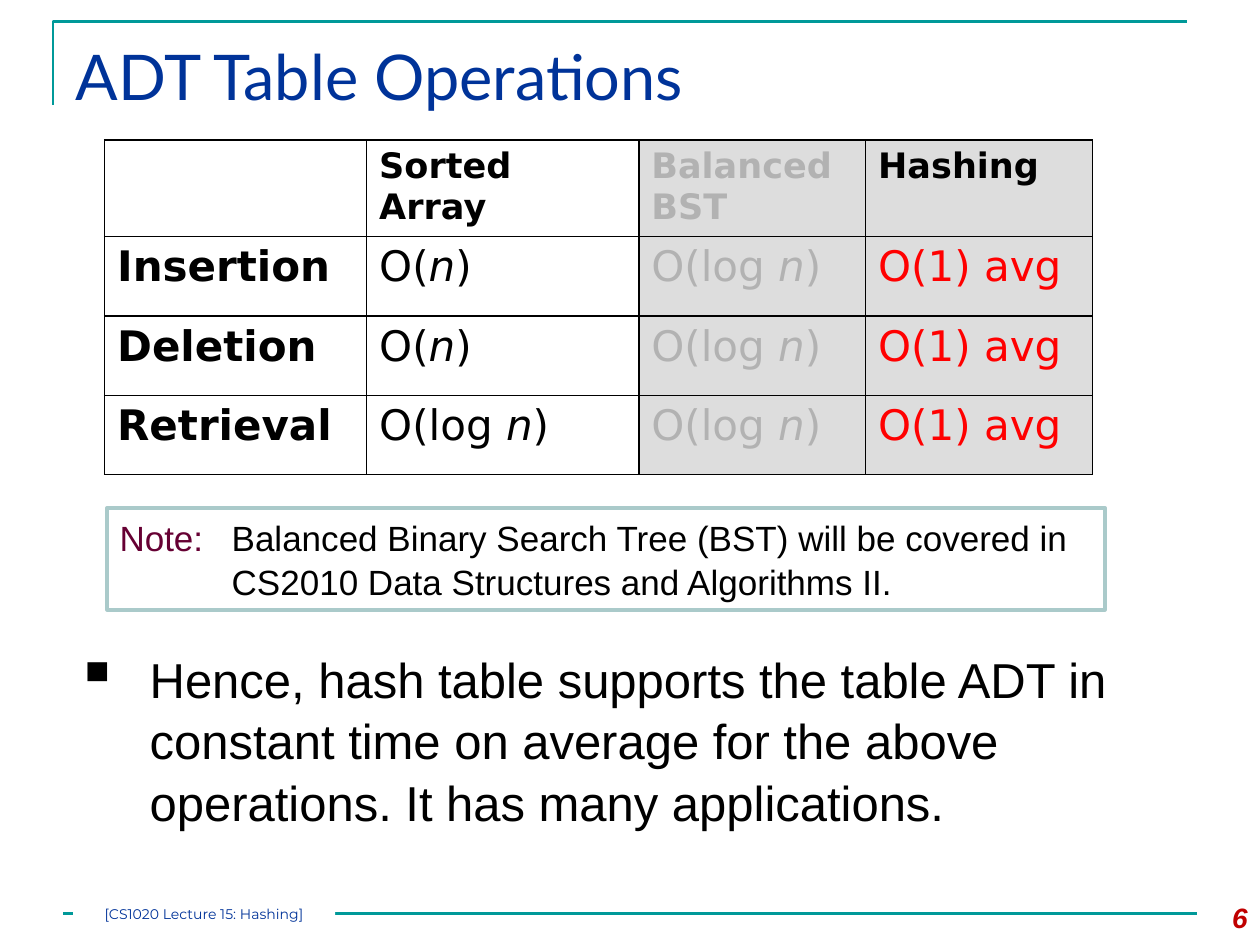
"""Builds the slide on ADT table operations."""
from dataclasses import dataclass

import lxml.etree
import pptx
import pptx.dml.color
import pptx.enum.shapes
import pptx.enum.text
import pptx.oxml.ns
import pptx.util

Inches = pptx.util.Inches
Pt = pptx.util.Pt
qn = pptx.oxml.ns.qn
ALIGN = pptx.enum.text.PP_ALIGN
ANCHOR = pptx.enum.text.MSO_ANCHOR


@dataclass(frozen=True)
class Theme:
    black: str = "000000"
    white: str = "FFFFFF"
    blue: str = "003399"
    teal: str = "009999"
    pale_teal: str = "AACACA"
    plum: str = "660033"
    red: str = "FF0000"
    dark_red: str = "C00000"
    muted: str = "B2B2B2"
    shade: str = "DDDDDD"
    title_font: str = "Lato"
    body_font: str = "Arial"
    table_font: str = "DejaVu Sans"
    footer_font: str = "Montserrat"
    title: int = 36
    body: int = 28
    cell: int = 24
    note: int = 20
    number: int = 16
    footer: int = 8
    rule: float = 1.5


def rgb(color):
    return pptx.dml.color.RGBColor.from_string(color)


class Deck:
    """Holds the theme and the current slide."""

    def __init__(self, prs, theme):
        self.theme = theme
        self.s = prs.slides.add_slide(prs.slide_layouts[5])

    def run(self, p, text, size, font, color, bold=False, italic=False):
        r = p.add_run()
        r.text = text
        r.font.size, r.font.name = Pt(size), font
        r.font.bold, r.font.italic = bold, italic
        r.font.color.rgb = rgb(color)

    def title(self, text, box):
        sp = self.s.shapes.title
        sp.left, sp.top, sp.width, sp.height = map(Inches, box)
        tf = sp.text_frame
        tf.vertical_anchor = ANCHOR.TOP
        tf.auto_size = pptx.enum.text.MSO_AUTO_SIZE.NONE
        p = tf.paragraphs[0]
        p.alignment = ALIGN.LEFT
        self.run(p, text, self.theme.title, self.theme.title_font, self.theme.blue)

    def outline(self, points):
        points = [(Inches(x), Inches(y)) for x, y in points]
        builder = self.s.shapes.build_freeform(*points[0])
        builder.add_line_segments(points[1:], close=False)
        sp = builder.convert_to_shape()
        sp.shadow.inherit = False
        sp.fill.background()
        sp.line.color.rgb = rgb(self.theme.teal)
        sp.line.width = Pt(self.theme.rule)

    def rule(self, start, end):
        sp = self.s.shapes.add_connector(
            pptx.enum.shapes.MSO_CONNECTOR.STRAIGHT, *map(Inches, start + end))
        sp.line.color.rgb = rgb(self.theme.teal)
        sp.line.width = Pt(self.theme.rule)
        lxml.etree.SubElement(sp._element.spPr, qn("a:effectLst"))

    def text(self, box, align=ALIGN.LEFT):
        sp = self.s.shapes.add_textbox(*map(Inches, box))
        sp.text_frame.word_wrap = True
        p = sp.text_frame.paragraphs[0]
        p.alignment = align
        return p

    def panel(self, box, line=None, align=ALIGN.LEFT, inset=None):
        sp = self.s.shapes.add_shape(
            pptx.enum.shapes.MSO_SHAPE.RECTANGLE, *map(Inches, box))
        sp.shadow.inherit = False
        sp.fill.solid()
        sp.fill.fore_color.rgb = rgb(self.theme.white)
        if line:
            sp.line.color.rgb = rgb(line)
            sp.line.width = Pt(2)
        else:
            sp.line.fill.background()
        tf = sp.text_frame
        tf.word_wrap = True
        tf.vertical_anchor = ANCHOR.MIDDLE
        if inset is not None:
            tf.margin_left = tf.margin_right = Inches(inset)
            tf.margin_top = tf.margin_bottom = Inches(inset)
        p = tf.paragraphs[0]
        p.alignment = align
        return p

    def hang(self, p, indent, bullet=None):
        p.line_spacing = 1.05
        pPr = p._p.get_or_add_pPr()
        pPr.set("marL", str(Inches(indent)))
        pPr.set("indent", str(-Inches(indent)))
        if bullet:
            lxml.etree.SubElement(pPr, qn("a:buSzPct")).set("val", "120000")
            lxml.etree.SubElement(pPr, qn("a:buChar")).set("char", bullet)

    def border(self, cell):
        tcPr = cell._tc.get_or_add_tcPr()
        for i, side in enumerate("LRTB"):
            ln = lxml.etree.Element(qn("a:ln" + side), w=str(Pt(1)))
            fill = lxml.etree.SubElement(ln, qn("a:solidFill"))
            lxml.etree.SubElement(fill, qn("a:srgbClr")).set("val", self.theme.black)
            tcPr.insert(i, ln)

    def table(self, left, top, widths, heights, rows):
        t = self.theme
        table = self.s.shapes.add_table(
            len(rows), len(widths), Inches(left), Inches(top),
            Inches(sum(widths)), Inches(sum(heights))).table
        table.first_row = table.horz_banding = False
        for column, width in zip(table.columns, widths):
            column.width = Inches(width)
        for i, (row, height) in enumerate(zip(rows, heights)):
            table.rows[i].height = Inches(height)
            for j, text in enumerate(row):
                cell = table.cell(i, j)
                if j >= 2:
                    cell.fill.solid()
                    cell.fill.fore_color.rgb = rgb(t.shade)
                else:
                    cell.fill.background()
                self.border(cell)
                color = t.muted if j == 2 else t.red if i and j == 3 else t.black
                size = t.cell if i else t.note
                p = cell.text_frame.paragraphs[0]
                for k, part in enumerate(text.split("*")):
                    if part:
                        self.run(p, part, size, t.table_font, color,
                                 bold=i == 0 or j == 0, italic=k % 2 == 1)


def main():
    prs = pptx.Presentation()
    prs.slide_width, prs.slide_height = Inches(10), Inches(7.5)
    t = Theme()
    deck = Deck(prs, t)
    deck.outline([(0.42, 0.83), (0.42, 0.17), (9.42, 0.17)])
    deck.rule((0.5, 7.25), (9.5, 7.25))
    deck.title("ADT Table Operations", (0.5, 0.25, 9, 0.86))

    p = deck.text((9.33, 7.1, 0.67, 0.4), ALIGN.RIGHT)
    deck.run(p, "6", t.number, t.body_font, t.dark_red, bold=True, italic=True)

    p = deck.panel((0.85, 4.03, 7.92, 0.81), t.pale_teal)
    deck.hang(p, 0.89)
    deck.run(p, "Note:\t", t.note, t.body_font, t.plum)
    deck.run(p, "Balanced Binary Search Tree (BST) will be covered in "
             "CS2010 Data Structures and Algorithms II.",
             t.note, t.body_font, t.black)

    linear, log, constant = "O(*n*)", "O(log *n*)", "O(1) avg"
    deck.table(0.83, 1.11, [2.08, 2.16, 1.8, 1.8], [0.75] + [0.63] * 3, [
        ["", "Sorted Array", "Balanced BST", "Hashing"],
        ["Insertion", linear, log, constant],
        ["Deletion", linear, log, constant],
        ["Retrieval", log, log, constant],
    ])

    p = deck.text((0.5, 5.08, 9, 1.5))
    deck.hang(p, 0.59, "▪")
    deck.run(p, "Hence, hash table supports the table ADT in constant time on "
             "average for the above operations. It has many applications.",
             t.body, t.body_font, t.black)

    p = deck.panel((0.58, 7.17, 2.08, 0.17), align=ALIGN.CENTER, inset=0)
    deck.run(p, "[CS1020 Lecture 15: Hashing]", t.footer, t.footer_font, t.blue)
    prs.save("out.pptx")


if __name__ == "__main__":
    main()
